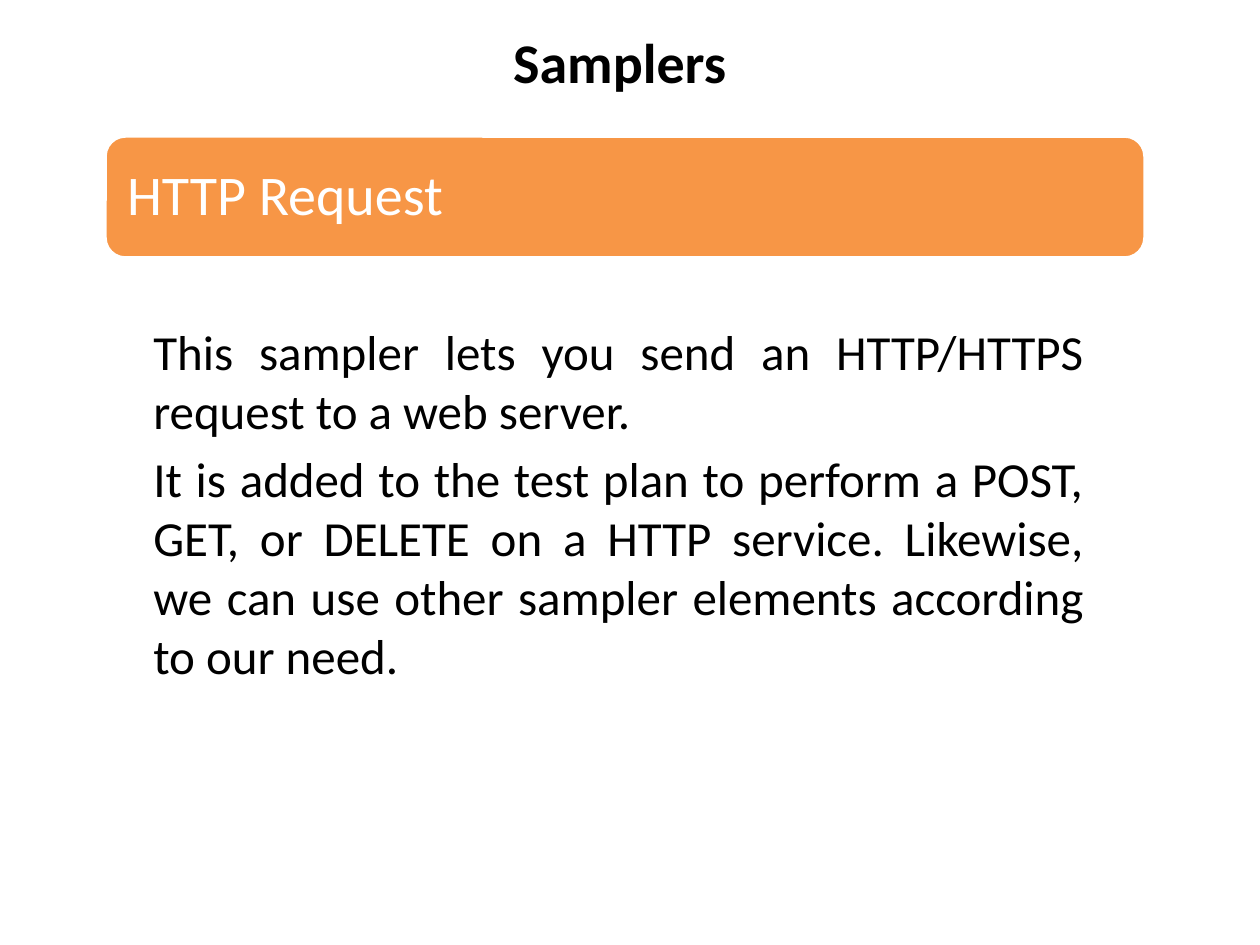
from pptx import Presentation
from pptx.dml.color import RGBColor
from pptx.enum.shapes import MSO_SHAPE as SHAPE
from pptx.enum.text import MSO_ANCHOR as ANCHOR, PP_ALIGN as ALIGN
from pptx.util import Emu, Pt

SCALE = 914400 / 126
FONT = "Calibri"
COLORS = {"text": "000000", "bar": "F79646", "white": "FFFFFF"}
BODY = [
    "This sampler lets you send an HTTP/HTTPS request to a web server.",
    "It is added to the test plan to perform a POST, GET, or DELETE on a HTTP "
    "service. Likewise, we can use other sampler elements according to our need.",
]


def px(n):
    """Turn whole pixels into EMU."""
    return Emu(round(n * SCALE))


def color(name):
    """Look up a colour by name."""
    return RGBColor.from_string(COLORS[name])


def add_text(slide, box, paragraphs, size, fill="text", bold=False,
             align=ALIGN.LEFT, anchor=ANCHOR.TOP, inset=None, gap=0, spacing=1.0):
    """Add a wrapped text box with one run per paragraph."""
    tf = slide.shapes.add_textbox(*map(px, box)).text_frame
    tf.word_wrap = True
    tf.vertical_anchor = anchor
    if inset is not None:
        tf.margin_left = tf.margin_right = px(inset)
        tf.margin_top = tf.margin_bottom = px(inset)
    for i, text in enumerate(paragraphs):
        p = tf.add_paragraph() if i else tf.paragraphs[0]
        p.alignment = align
        p.line_spacing = spacing
        if i:
            p.space_before = Pt(gap)
        r = p.add_run()
        r.text = text
        r.font.name = FONT
        r.font.size = Pt(size)
        r.font.bold = bold
        r.font.color.rgb = color(fill)


def add_bar(slide, box):
    """Add the rounded heading bar."""
    sp = slide.shapes.add_shape(SHAPE.ROUNDED_RECTANGLE, *map(px, box))
    sp.shadow.inherit = False
    sp.fill.solid()
    sp.fill.fore_color.rgb = color("bar")
    sp.line.color.rgb = color("white")
    sp.line.width = Pt(2)


def main():
    """Build and save the slide."""
    prs = Presentation()
    prs.slide_width, prs.slide_height = px(1260), px(945)
    slide = prs.slides.add_slide(prs.slide_layouts[6])
    add_text(slide, (141, 315, 955, 473), BODY, 28, align=ALIGN.JUSTIFY, gap=5.6)
    add_text(slide, (116, 21, 1008, 105), ["Samplers"], 32, bold=True,
             align=ALIGN.CENTER)
    add_bar(slide, (105, 136, 1040, 122))
    add_text(slide, (111, 142, 1027, 111), ["HTTP Request"], 32, fill="white",
             anchor=ANCHOR.MIDDLE, inset=16, spacing=0.9)
    prs.save("out.pptx")


if __name__ == "__main__":
    main()
